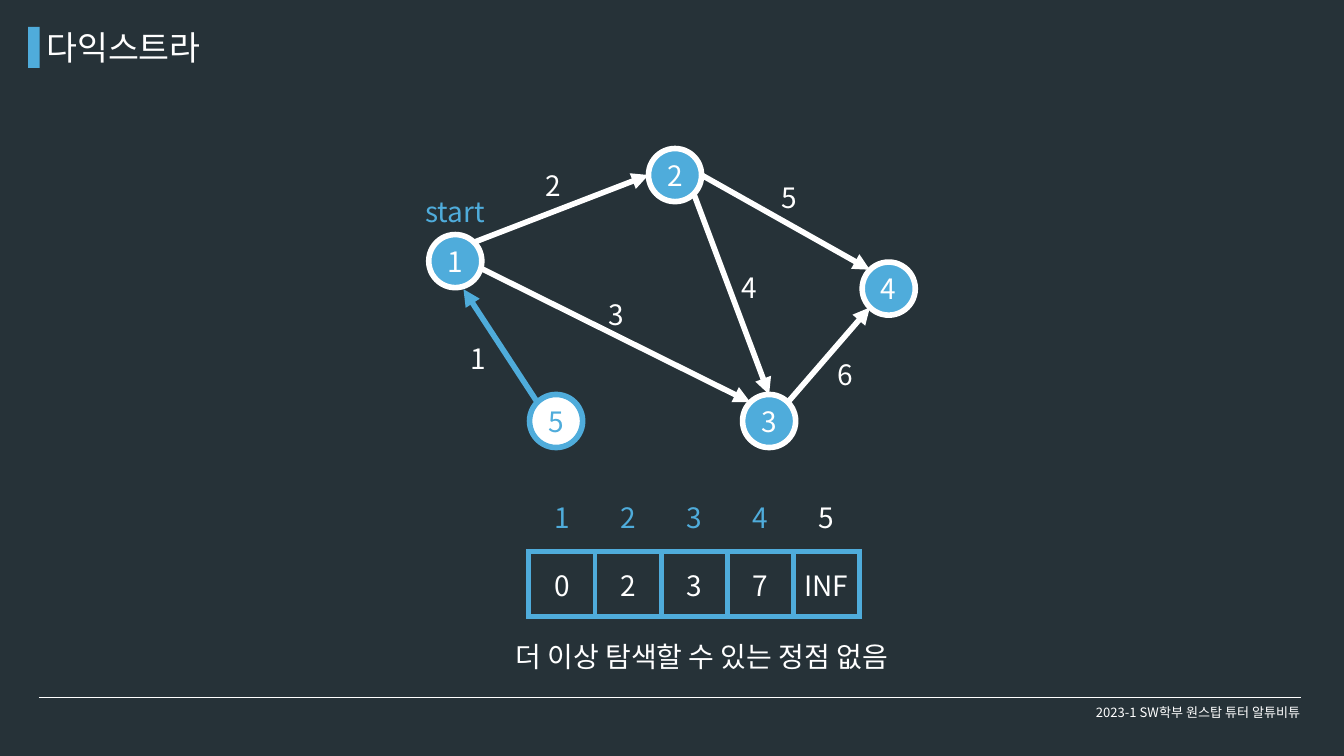
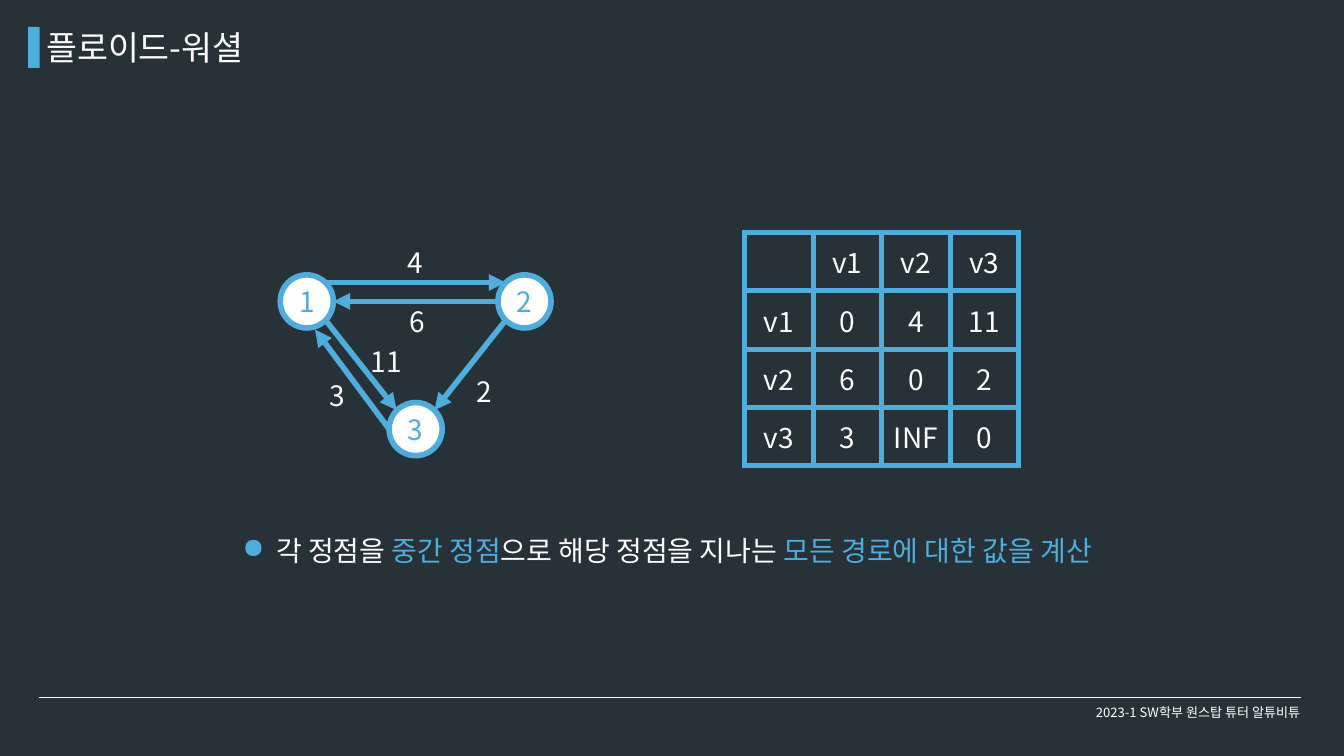
"""Builds two slides on shortest path algorithms."""
import lxml.etree
import pptx
import pptx.dml.color
import pptx.enum.shapes
import pptx.enum.text
import pptx.oxml
import pptx.oxml.ns
import pptx.util

PX = 9144
WIDTH, HEIGHT = 2000, 1125
DARK, BLUE, WHITE = "263238", "4FACDB", "FFFFFF"
FONT = "Noto Sans CJK KR"
BODY, TITLE, FOOTER = 30, 36, 14
STROKE = 6
NODE = 79
SITES = {
    "N": (0, -1), "NE": (0.71, -0.71), "E": (1, 0), "ESE": (1, 0.29),
    "SE": (0.71, 0.71), "SSE": (0.31, 1.06), "SW": (-0.71, 0.71),
    "W": (-1, 0), "NW": (-0.71, -0.71),
}
SHAPES = pptx.enum.shapes.MSO_SHAPE
LEFT, CENTER = pptx.enum.text.PP_ALIGN.LEFT, pptx.enum.text.PP_ALIGN.CENTER
TOP, MIDDLE = pptx.enum.text.MSO_ANCHOR.TOP, pptx.enum.text.MSO_ANCHOR.MIDDLE


def px(*lengths):
    """Turn lengths in px into EMU."""
    return [pptx.util.Emu(round(length * PX)) for length in lengths]


def color(value):
    """Turn a hex string into a colour."""
    return pptx.dml.color.RGBColor.from_string(value)


def add_xml(parent, tag, **attributes):
    """Append a drawing element to a parent and return it."""
    return lxml.etree.SubElement(parent, pptx.oxml.ns.qn(tag), attributes)


def paint(shape, fill, outline=None):
    """Give a shape a plain fill and an optional outline."""
    shape.shadow.inherit = False
    shape.fill.solid()
    shape.fill.fore_color.rgb = color(fill)
    if outline:
        shape.line.color.rgb = color(outline)
        shape.line.width = pptx.util.Pt(STROKE)
    else:
        shape.line.fill.background()


def write(para, spans, size=BODY, align=CENTER):
    """Fill a paragraph with (text, colour) spans."""
    para.alignment = align
    for text, ink in spans:
        span = para.add_run()
        span.text = text
        formats = {"size": pptx.util.Pt(size), "name": FONT}
        for name, value in formats.items():
            setattr(span.font, name, value)
        span.font.color.rgb = color(ink)
        add_xml(span._r.get_or_add_rPr(), "a:ea", typeface=FONT)


def add_text(page, at, spans, size=BODY, align=LEFT, anchor=TOP, wrap=True):
    """Add a text box and return its paragraph."""
    frame = page.shapes.add_textbox(*px(*at)).text_frame
    formats = {"word_wrap": wrap, "vertical_anchor": anchor}
    if anchor == TOP:
        formats["auto_size"] = pptx.enum.text.MSO_AUTO_SIZE.SHAPE_TO_FIT_TEXT
    for name, value in formats.items():
        setattr(frame, name, value)
    write(frame.paragraphs[0], spans, size, align)
    return frame.paragraphs[0]


def add_bullet(page, at, spans):
    """Add a text box holding one bulleted line."""
    para = add_text(page, at, [])
    properties = para._p.get_or_add_pPr()
    indent, = px(50)
    properties.set("marL", str(indent))
    properties.set("indent", str(-indent))
    add_xml(add_xml(properties, "a:buClr"), "a:srgbClr", val=BLUE)
    add_xml(properties, "a:buChar", char="●")
    write(para, spans, align=LEFT)


def add_line(page, start, end, ink, points):
    """Add a straight line and return it."""
    line = page.shapes.add_connector(
        pptx.enum.shapes.MSO_CONNECTOR.STRAIGHT, *px(*start, *end))
    line.line.color.rgb = color(ink)
    line.line.width = pptx.util.Pt(points)
    add_xml(line._element.spPr, "a:effectLst")
    return line


def add_node(page, label, corner, fill, ink):
    """Add a numbered graph node."""
    node = page.shapes.add_shape(SHAPES.OVAL, *px(*corner, NODE, NODE))
    paint(node, fill, ink)
    frame = node.text_frame
    frame.vertical_anchor = MIDDLE
    frame.margin_left = frame.margin_right = 0
    write(frame.paragraphs[0], [(label, ink)])


def site(corner, side):
    """Find the point on a side of the node at a corner."""
    radius = NODE / 2
    return [edge + radius + radius * step for edge, step in zip(corner, SITES[side])]


def add_edge(page, start, end, ink):
    """Add an arrow between two nodes."""
    arrow = add_line(page, start, end, ink, STROKE)
    add_xml(arrow.line._get_or_add_ln(), "a:tailEnd", type="triangle")


def add_graph(page, nodes, edges):
    """Add nodes, then arrows with their weights."""
    for label, (corner, fill, ink) in nodes.items():
        add_node(page, label, corner, fill, ink)
    for source, source_side, target, target_side, ink, weight, spot in edges:
        start = site(nodes[source][0], source_side)
        end = site(nodes[target][0], target_side)
        add_edge(page, start, end, ink)
        add_text(page, (*spot, 21 + 25 * len(weight), 61), [(weight, WHITE)], wrap=False)


def set_borders(cell, ink):
    """Draw all four borders of a cell, or clear them without a colour."""
    properties = cell._tc.get_or_add_tcPr()
    for index, side in enumerate("LRTB"):
        border = add_xml(properties, f"a:ln{side}", w=str(pptx.util.Pt(STROKE)))
        if ink:
            add_xml(add_xml(border, "a:solidFill"), "a:srgbClr", val=ink)
        else:
            add_xml(border, "a:noFill")
        properties.insert(index, border)


def add_grid(page, at, rows, border=None):
    """Add a table of equal cells from rows of (text, colour)."""
    table = page.shapes.add_table(len(rows), len(rows[0]), *px(*at)).table
    table.first_row = table.horz_banding = False
    for row_index, row in enumerate(rows):
        for column_index, span in enumerate(row):
            cell = table.cell(row_index, column_index)
            cell.fill.background()
            set_borders(cell, border)
            cell.vertical_anchor = MIDDLE
            if span[0]:
                write(cell.text_frame.paragraphs[0], [span])


def add_page(deck, title):
    """Add a slide with the title bar, rule and footer."""
    page = deck.slides.add_slide(deck.slide_layouts[6])
    add_line(page, (58, 1038), (1936, 1038), WHITE, 0.75)
    paint(page.shapes.add_shape(SHAPES.RECTANGLE, *px(42, 40, 17, 61)), BLUE)
    add_text(page, (59, 35, 950, 71), [(title, WHITE)], TITLE)
    add_text(page, (1583, 1031, 400, 57),
             [("2023-1 SW학부 원스탑 튜터 알튜비튜", WHITE)], FOOTER, CENTER, MIDDLE)
    return page


def add_dijkstra(deck):
    """Add the slide with the final distances from the start node."""
    page = add_page(deck, "다익스트라")
    nodes = {
        "1": ((638, 349), BLUE, WHITE),
        "2": ((965, 221), BLUE, WHITE),
        "3": ((1105, 587), BLUE, WHITE),
        "4": ((1283, 390), BLUE, WHITE),
        "5": ((788, 587), WHITE, BLUE),
    }
    add_graph(page, nodes, [
        ("1", "NE", "2", "W", WHITE, "2", (802, 246)),
        ("1", "ESE", "3", "NW", WHITE, "3", (895, 438)),
        ("2", "SE", "3", "N", WHITE, "4", (1094, 398)),
        ("2", "E", "4", "NW", WHITE, "5", (1153, 264)),
        ("5", "NW", "1", "SSE", BLUE, "1", (690, 503)),
        ("3", "NE", "4", "SW", WHITE, "6", (1237, 527)),
    ])
    add_text(page, (583, 284, 189, 61), [("start", BLUE)], align=CENTER)
    distances = [(text, WHITE) for text in ("0", "2", "3", "7", "INF")]
    add_grid(page, (787, 821, 492, 96), [distances], BLUE)
    visited = [(label, BLUE) for label in "1234"]
    add_grid(page, (787, 721, 492, 96), [visited + [("5", WHITE)]])
    add_text(page, (649, 947, 791, 61),
             [("더 이상 탐색할 수 있는 정점 없음", WHITE)], align=CENTER)


def add_floyd_warshall(deck):
    """Add the slide with the graph and its distance matrix."""
    page = add_page(deck, "플로이드-워셜")
    corners = {"1": (417, 409), "2": (741, 409), "3": (579, 599)}
    nodes = {label: (corner, WHITE, BLUE) for label, corner in corners.items()}
    add_graph(page, nodes, [
        ("1", "NE", "2", "NW", BLUE, "4", (596, 360)),
        ("1", "SE", "3", "NW", BLUE, "11", (542, 507)),
        ("2", "SW", "3", "NE", BLUE, "2", (700, 553)),
        ("2", "W", "1", "E", BLUE, "6", (600, 448)),
        ("3", "W", "1", "SSE", BLUE, "3", (480, 559)),
    ])
    matrix = [
        ("", "v1", "v2", "v3"),
        ("v1", "0", "4", "11"),
        ("v2", "6", "0", "2"),
        ("v3", "3", "INF", "0"),
    ]
    rows = [[(text, WHITE) for text in row] for row in matrix]
    add_grid(page, (1108, 346, 408, 347), rows, BLUE)
    add_bullet(page, (351, 789, 1317, 61), [
        ("각 정점을 ", WHITE), ("중간 정점", BLUE),
        ("으로 해당 정점을 지나는 ", WHITE), ("모든 경로에 대한 값을 계산", BLUE),
    ])


def main():
    """Build and save the deck."""
    deck = pptx.Presentation()
    deck.slide_width, deck.slide_height = px(WIDTH, HEIGHT)
    backdrop = deck.slide_master.background.fill
    backdrop.solid()
    backdrop.fore_color.rgb = color(DARK)
    add_dijkstra(deck)
    add_floyd_warshall(deck)
    deck.save("out.pptx")


if __name__ == "__main__":
    main()
